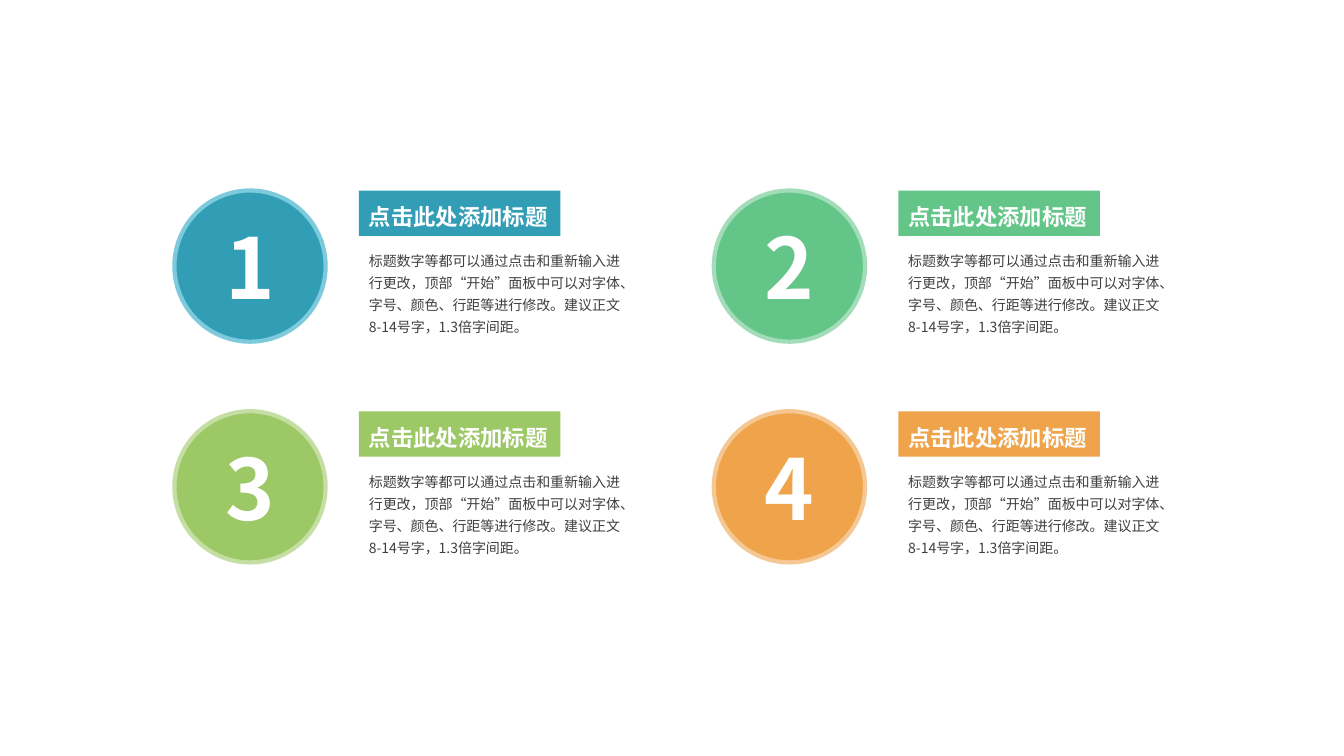
from dataclasses import dataclass

from lxml import etree
from pptx import Presentation
from pptx import util as u
from pptx.dml.color import RGBColor
from pptx.enum import lang, shapes, text
from pptx.oxml import ns

FONT = "Noto Sans CJK SC"
WHITE = RGBColor(0xFF, 0xFF, 0xFF)
GREY = RGBColor(0x40, 0x40, 0x40)
TEAL, TEAL_RING = RGBColor(0x32, 0x9E, 0xB6), RGBColor(0x7C, 0xCA, 0xDB)
GREEN, GREEN_RING = RGBColor(0x64, 0xC5, 0x88), RGBColor(0xA2, 0xDC, 0xB8)
LIME, LIME_RING = RGBColor(0x9C, 0xC8, 0x65), RGBColor(0xC4, 0xDE, 0xA3)
ORANGE, ORANGE_RING = RGBColor(0xEF, 0xA4, 0x4B), RGBColor(0xF5, 0xC8, 0x93)

TITLE = "点击此处添加标题"
BODY = ("标题数字等都可以通过点击和重新输入进行更改，顶部“开始”面板中可以对字体、"
        "字号、颜色、行距等进行修改。建议正文8-14号字，1.3倍字间距。")

# Grid, in inches: two columns by two rows
COLUMNS, LEFT, TOP = 2, 1.73, 1.89
COLUMN_STEP, ROW_STEP = 5.35, 2.19
DISC = 1.5
TEXT_DX, BODY_DY = 1.83, 0.52
TITLE_W, TITLE_H = 2, 0.45
BODY_W, BODY_H = 2.7, 0.98


@dataclass
class Item:
    fill: RGBColor
    ring: RGBColor


ITEMS = [Item(TEAL, TEAL_RING), Item(GREEN, GREEN_RING),
         Item(LIME, LIME_RING), Item(ORANGE, ORANGE_RING)]


def write(sp, words: str, size: float, color: RGBColor, bold: bool = False,
          align=text.PP_ALIGN.LEFT, anchor=text.MSO_ANCHOR.TOP,
          spacing: float = 1.0, wrap: bool = True) -> None:
    tf = sp.text_frame
    tf.word_wrap = wrap
    tf.vertical_anchor = anchor
    p = tf.paragraphs[0]
    p.text = words
    p.alignment = align
    p.line_spacing = spacing
    r = p.runs[0]
    r.font.size = u.Pt(size)
    r.font.bold = bold
    r.font.color.rgb = color
    r.font.name = FONT
    r.font.language_id = lang.MSO_LANGUAGE_ID.SIMPLIFIED_CHINESE
    # East Asian typeface follows the latin one
    latin = r.font._element.find(ns.qn("a:latin"))
    ea = etree.Element(ns.qn("a:ea"), typeface=FONT)
    latin.addnext(ea)


def add_filled(s, kind, x: float, y: float, w: float, h: float, fill: RGBColor):
    sp = s.shapes.add_shape(kind, u.Inches(x), u.Inches(y), u.Inches(w), u.Inches(h))
    sp.shadow.inherit = False
    sp.fill.solid()
    sp.fill.fore_color.rgb = fill
    sp.line.fill.background()
    return sp


def draw_item(s, index: int, item: Item) -> None:
    row, column = divmod(index, COLUMNS)
    x, y = LEFT + column * COLUMN_STEP, TOP + row * ROW_STEP

    # Numbered disc
    disc = add_filled(s, shapes.MSO_SHAPE.OVAL, x, y, DISC, DISC, item.fill)
    disc.line.color.rgb = item.ring
    disc.line.width = u.Pt(3)
    write(disc, str(index + 1), 60, WHITE, True,
          text.PP_ALIGN.CENTER, text.MSO_ANCHOR.MIDDLE)

    # Body text
    body = s.shapes.add_textbox(u.Inches(x + TEXT_DX), u.Inches(y + BODY_DY),
                                u.Inches(BODY_W), u.Inches(BODY_H))
    write(body, BODY, 10, GREY, spacing=1.3)
    body.text_frame.auto_size = text.MSO_AUTO_SIZE.SHAPE_TO_FIT_TEXT

    # Title band
    band = add_filled(s, shapes.MSO_SHAPE.RECTANGLE, x + TEXT_DX, y,
                      TITLE_W, TITLE_H, item.fill)
    write(band, TITLE, 16, WHITE, True, spacing=1.3, wrap=False)
    band.text_frame.auto_size = text.MSO_AUTO_SIZE.SHAPE_TO_FIT_TEXT


def main() -> None:
    prs = Presentation()
    prs.slide_width, prs.slide_height = u.Inches(13.33), u.Inches(7.5)
    s = prs.slides.add_slide(prs.slide_layouts[6])
    for index, item in enumerate(ITEMS):
        draw_item(s, index, item)
    prs.save("out.pptx")


if __name__ == "__main__":
    main()
